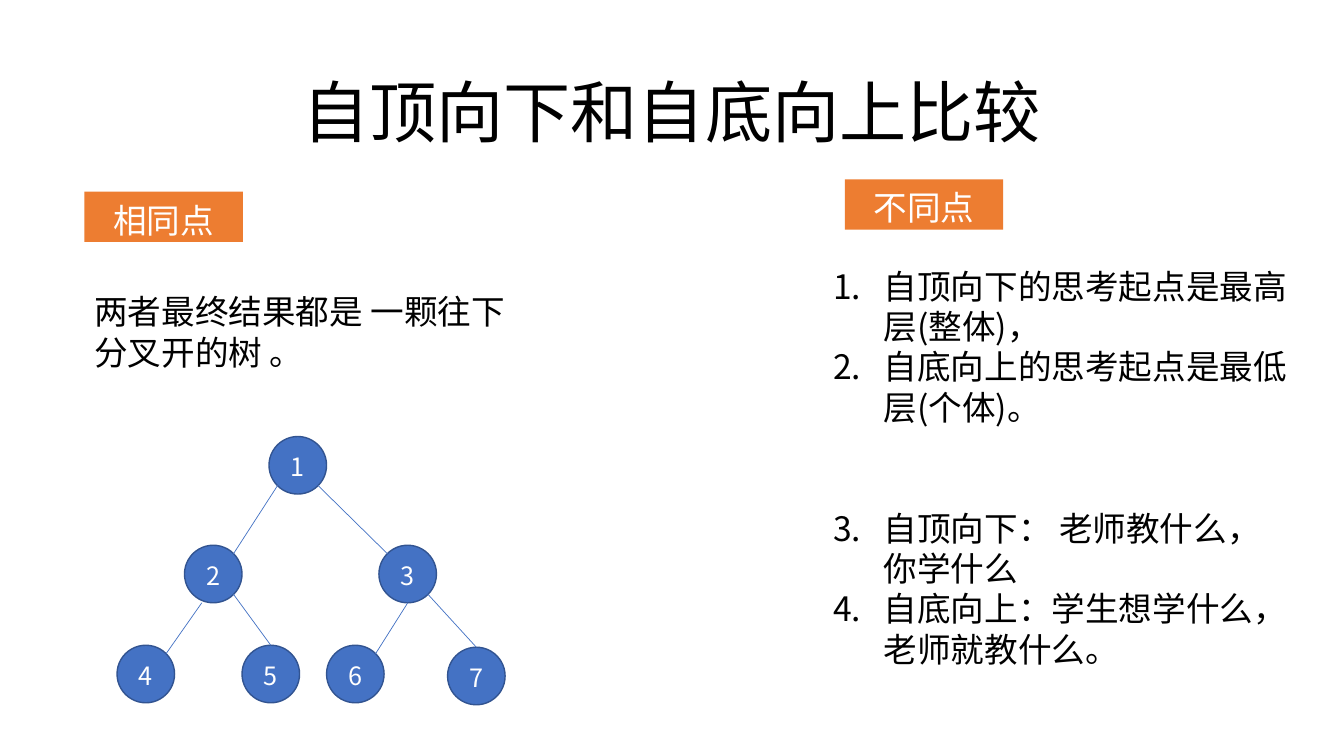
from lxml.etree import SubElement
from pptx import Presentation
from pptx.dml.color import RGBColor
from pptx.enum.shapes import MSO_CONNECTOR as Connector, MSO_SHAPE as Preset
from pptx.enum.text import MSO_ANCHOR as Anchor, PP_ALIGN as Align
from pptx.oxml.ns import qn
from pptx.util import Cm, Pt

FONT = "Noto Sans CJK SC"
BLACK, WHITE, BLUE, NAVY, ORANGE = "000000", "FFFFFF", "4472C4", "325491", "ED7D31"

TITLE = "自顶向下和自底向上比较"
SIMILARITY = "两者最终结果都是 一颗往下分叉开的树 。"
DIFFERENCES = [
    ("自顶向下的思考起点是最高层(整体)，", 0),
    ("自底向上的思考起点是最低层(个体)。", 0),
    ("自顶向下： 老师教什么，你学什么", 57.6),
    ("自底向上：学生想学什么，老师就教什么。", 0),
]
LABELS = [("相同点", 2.13, 4.83), ("不同点", 21.29, 4.52)]

NODE_SIZE = 1.45
NODES = {
    1: (6.78, 11.0),
    2: (4.65, 13.74),
    3: (9.55, 13.74),
    4: (2.95, 16.26),
    5: (6.1, 16.26),
    6: (8.23, 16.26),
    7: (11.28, 16.31),
}
TOP, BOTTOM, BOTTOM_LEFT_OF_CENTRE = (0.5, 0), (0.5, 1), (0.3, 1)
UPPER_LEFT, UPPER_RIGHT = (0.15, 0.15), (0.85, 0.15)
LOWER_LEFT, LOWER_RIGHT = (0.15, 0.85), (0.85, 0.85)
EDGES = [
    (1, LOWER_LEFT, 2, UPPER_RIGHT),
    (2, BOTTOM_LEFT_OF_CENTRE, 4, UPPER_RIGHT),
    (1, LOWER_RIGHT, 3, UPPER_LEFT),
    (2, LOWER_RIGHT, 5, TOP),
    (3, BOTTOM, 6, UPPER_RIGHT),
    (3, LOWER_RIGHT, 7, TOP),
]


def colour(value):
    return RGBColor.from_string(value)


def write(shape, items, size, text_colour, align=Align.LEFT, anchor=Anchor.TOP, numbered=False):
    frame = shape.text_frame
    frame.word_wrap = True
    frame.vertical_anchor = anchor
    frame.margin_top = Cm(0.13 + 0.0028 * size)
    for index, (text, space_before) in enumerate(items):
        paragraph = frame.add_paragraph() if index else frame.paragraphs[0]
        paragraph.text = text
        paragraph.alignment = align
        paragraph.line_spacing = Pt(size * 1.2)
        if space_before:
            paragraph.space_before = Pt(space_before)
        if numbered:
            properties = paragraph._p.get_or_add_pPr()
            properties.set("marL", str(Cm(1.27)))
            properties.set("indent", str(-Cm(1.27)))
            SubElement(properties, qn("a:buFont"), typeface=FONT)
            SubElement(properties, qn("a:buAutoNum"), type="arabicPeriod")
        font = paragraph.font
        font.size = Pt(size)
        font.name = FONT
        font.color.rgb = colour(text_colour)
        SubElement(font._element, qn("a:ea"), typeface=FONT)


def add_text(slide, box, items, size, **options):
    shape = slide.shapes.add_textbox(*map(Cm, box))
    write(shape, items, size, BLACK, **options)


def add_filled(slide, preset, box, text, size, fill, outline=None, anchor=Anchor.TOP):
    shape = slide.shapes.add_shape(preset, *map(Cm, box))
    shape.shadow.inherit = False
    shape.fill.solid()
    shape.fill.fore_color.rgb = colour(fill)
    if outline:
        shape.line.color.rgb = colour(outline)
        shape.line.width = Pt(1)
    else:
        shape.line.fill.background()
    write(shape, [(text, 0)], size, WHITE, Align.CENTER, anchor)


def node_point(node, site):
    return [Cm(start + NODE_SIZE * part) for start, part in zip(NODES[node], site)]


def add_edge(slide, parent, parent_site, child, child_site):
    line = slide.shapes.add_connector(
        Connector.STRAIGHT, *node_point(parent, parent_site), *node_point(child, child_site)
    )
    line.line.color.rgb = colour(BLUE)
    line.line.width = Pt(0.5)
    SubElement(line._element.spPr, qn("a:effectLst"))


def main():
    presentation = Presentation()
    presentation.slide_width, presentation.slide_height = Cm(33.87), Cm(19.05)
    slide = presentation.slides.add_slide(presentation.slide_layouts[6])

    add_text(slide, (4.24, 1.5, 25.37, 2.31), [(TITLE, 0)], 48, align=Align.CENTER)
    add_text(slide, (2.13, 7.14, 11.0, 2.31), [(SIMILARITY, 0)], 24)
    add_text(slide, (20.75, 6.5, 12.04, 10.52), DIFFERENCES, 24, numbered=True)

    for number, (left, top) in NODES.items():
        box = (left, top, NODE_SIZE, NODE_SIZE)
        add_filled(slide, Preset.OVAL, box, str(number), 18, BLUE, NAVY, Anchor.MIDDLE)
    for edge in EDGES:
        add_edge(slide, *edge)
    for text, left, top in LABELS:
        add_filled(slide, Preset.RECTANGLE, (left, top, 3.99, 1.27), text, 24, ORANGE)

    presentation.save("out.pptx")


if __name__ == "__main__":
    main()
